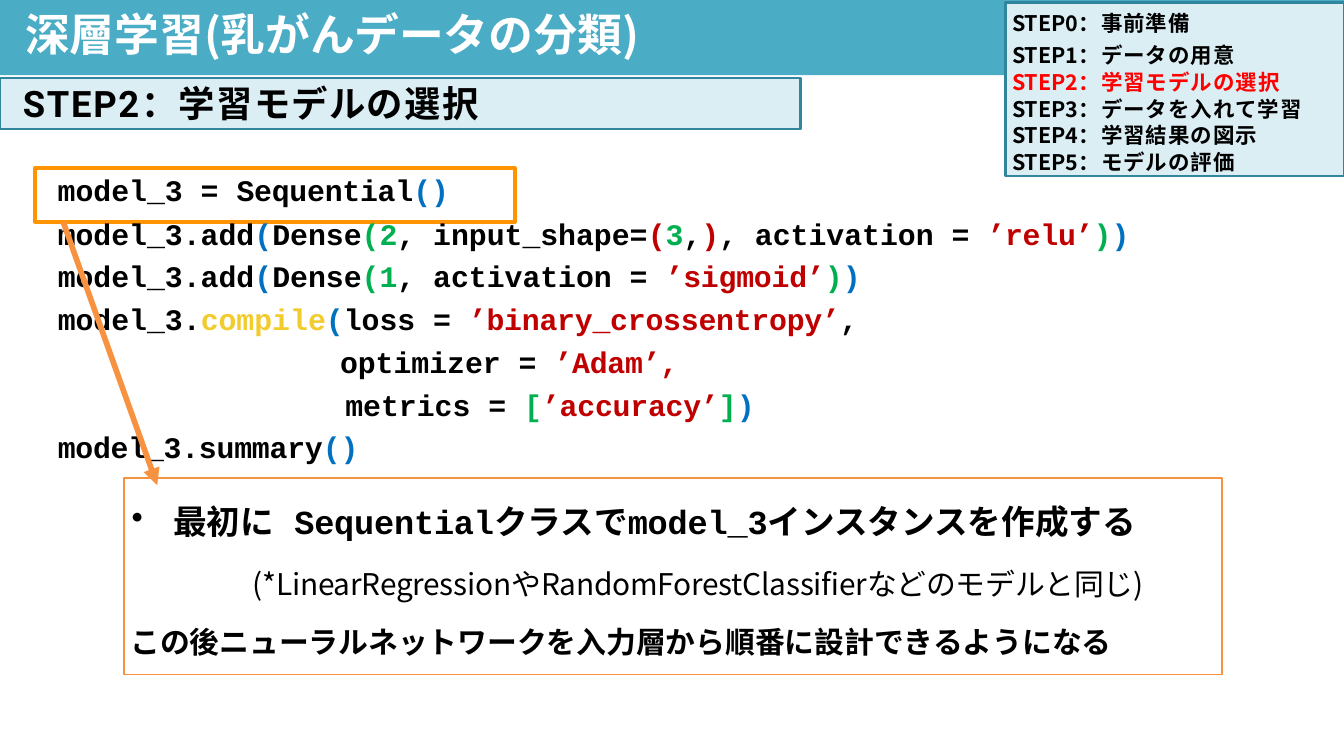
from lxml.etree import SubElement
from pptx import Presentation
from pptx.dml.color import RGBColor
from pptx.enum.shapes import MSO_CONNECTOR, MSO_SHAPE
from pptx.enum.text import MSO_ANCHOR, PP_ALIGN
from pptx.oxml.ns import qn
from pptx.util import Inches, Pt

BLACK = RGBColor(0, 0, 0)
WHITE = RGBColor(255, 255, 255)
RED = RGBColor(255, 0, 0)
CRIMSON = RGBColor(0xC0, 0, 0)
BLUE = RGBColor(0, 0x70, 0xC0)
GREEN = RGBColor(0, 0xB0, 0x50)
YELLOW = RGBColor(0xF2, 0xCC, 0x2C)
AMBER = RGBColor(0xFF, 0x93, 0)
ORANGE = RGBColor(0xF6, 0x92, 0x40)
TEAL = RGBColor(0x4B, 0xAC, 0xC6)
PALE = RGBColor(0xDB, 0xEE, 0xF4)
EDGE = RGBColor(0x31, 0x85, 0x9C)

SANS = "Noto Sans CJK JP"
MONO = "Courier New"

STEPS = ["事前準備", "データの用意", "学習モデルの選択",
         "データを入れて学習", "学習結果の図示", "モデルの評価"]

CODE = [
    (0.01, [("model_3.add",), ("(", BLUE), ("Dense",), ("(2", GREEN),
            (", input_shape=",), ("(", CRIMSON), ("3", GREEN), (",",),
            (")", CRIMSON), (", activation = ",), ("’relu’", CRIMSON, -0.1),
            (")", GREEN), (")", BLUE)]),
    (0.01, [("model_3.add",), ("(", BLUE), ("Dense",), ("(1", GREEN),
            (", activation = ",), ("’sigmoid’", CRIMSON, -0.1),
            (")", GREEN), (")", BLUE)]),
    (0.01, [("model_3.",), ("compile", YELLOW), ("(", BLUE), ("loss = ",),
            ("’binary_crossentropy’", CRIMSON, -0.1), (",",)]),
    (2.11, [("optimizer = ",), ("’Adam’,", CRIMSON, -0.1)]),
    (2.15, [("metrics = ",), ("[", GREEN, -0.1),
            ("’accuracy’", CRIMSON, -0.1), ("]", GREEN, -0.1),
            (")", BLUE, -0.1)]),
    (0.01, [("model_3.summary", BLACK, -0.1), ("()", BLUE, -0.1)]),
]


def add_rect(slide, left, top, width, height, fill=None, line=None, weight=1):
    """Add a plain rectangle with an optional fill and outline."""
    rect = slide.shapes.add_shape(MSO_SHAPE.RECTANGLE, Inches(left), Inches(top),
                                  Inches(width), Inches(height))
    rect.shadow.inherit = False
    if fill is None:
        rect.fill.background()
    else:
        rect.fill.solid()
        rect.fill.fore_color.rgb = fill
    if line is None:
        rect.line.fill.background()
    else:
        rect.line.color.rgb = line
        rect.line.width = Pt(weight)
    return rect


def set_frame(shape, inset=0):
    """Prepare a shape for top-left text without side margins."""
    frame = shape.text_frame
    frame.word_wrap = False
    frame.vertical_anchor = MSO_ANCHOR.TOP
    frame.margin_left = frame.margin_right = frame.margin_bottom = 0
    frame.margin_top = Inches(inset)
    return frame


def add_box(slide, left, top, width, height):
    """Add a text box and return its frame."""
    return set_frame(slide.shapes.add_textbox(
        Inches(left), Inches(top), Inches(width), Inches(height)))


def add_line(frame, pitch, left=0.01, before=0):
    """Start a paragraph of fixed line height, using the empty first one."""
    para = frame.paragraphs[0]
    if para.runs:
        para = frame.add_paragraph()
    para.alignment = PP_ALIGN.LEFT
    para.line_spacing = Pt(pitch)
    para.space_before = Pt(before)
    para._p.get_or_add_pPr().set("marL", str(Inches(left)))
    return para


def add_run(para, text, size, color=BLACK, gap=0, face=SANS, bold=True):
    """Add a run with its font, colour and letter spacing."""
    run = para.add_run()
    run.text = text
    font = run.font
    font.size, font.bold, font.name = Pt(size), bold, face
    font.color.rgb = color
    props = run._r.get_or_add_rPr()
    props.set("spc", str(round(gap * 100)))
    SubElement(props, qn("a:ea")).set("typeface", face)


def add_code(frame, pitch, left, parts):
    """Add one line of coloured code."""
    para = add_line(frame, pitch, left)
    for part in parts:
        add_run(para, part[0], 16, *part[1:], face=MONO)


def add_bullet(para, hang, stop):
    """Give a paragraph a hanging bullet and a tab stop."""
    props = para._p.get_or_add_pPr()
    props.set("indent", str(-Inches(hang)))
    SubElement(props, qn("a:buChar")).set("char", "•")
    tab = SubElement(SubElement(props, qn("a:tabLst")), qn("a:tab"))
    tab.set("pos", str(Inches(stop)))
    tab.set("algn", "l")


def add_arrow(slide, start, end):
    """Draw a thick orange arrow between two points."""
    arrow = slide.shapes.add_connector(
        MSO_CONNECTOR.STRAIGHT, *map(Inches, start + end))
    arrow.line.color.rgb = ORANGE
    arrow.line.width = Pt(3)
    SubElement(arrow.line._get_or_add_ln(), qn("a:tailEnd")).set("type", "triangle")
    SubElement(arrow._element.spPr, qn("a:effectLst"))


def add_head(slide):
    """Add the title band and the step heading."""
    add_rect(slide, 0, 0, 10, 0.56, TEAL)
    title = add_line(add_box(slide, 0.18, 0.02, 5.44, 0.43), 31)
    add_run(title, "深層学習(乳がんデータの分類)", 24, WHITE, -0.1)
    add_rect(slide, 0, 0.58, 5.96, 0.38, PALE, EDGE, 1.5)
    step = add_line(add_box(slide, 0.16, 0.58, 3.53, 0.35), 25)
    add_run(step, "STEP2", 19.5, gap=0.9, face="Roboto")
    add_run(step, "：学習モデルの選択", 19.5, gap=0.6, face="Roboto")


def add_steps(slide):
    """Add the list of steps with the current one in red."""
    panel = add_rect(slide, 7.48, 0.02, 2.52, 1.29, PALE, EDGE, 1.5)
    frame = set_frame(panel, 0.05)
    for num, name in enumerate(STEPS):
        para = add_line(frame, 14.3, 0.05, 3 if num == 1 else 0)
        color = RED if num == 2 else BLACK
        add_run(para, f"STEP{num}", 11.5, color)
        add_run(para, f"：{name}", 11.5, color, 0.5)


def add_note(slide):
    """Add the framed explanation."""
    add_rect(slide, 0.92, 3.56, 8.17, 1.46, line=ORANGE)
    frame = add_box(slide, 0.96, 3.71, 7.88, 1.2)
    para = add_line(frame, 23, 0.33)
    add_bullet(para, 0.31, 1.23)
    add_run(para, "最初", 18)
    add_run(para, "に\t", 18, gap=-0.5)
    add_run(para, "Sequential", 18, gap=-0.1, face=MONO)
    add_run(para, "クラスで", 18)
    add_run(para, "model_3", 18, gap=-0.1, face=MONO)
    add_run(para, "インスタンスを作成する", 18)
    para = add_line(frame, 20, 0.92, 12)
    add_run(para, "(*LinearRegression", 16, gap=-0.1, bold=False)
    add_run(para, "や", 16, bold=False)
    add_run(para, "RandomForestClassifierなどのモデルと同じ)", 16,
            gap=-0.1, bold=False)
    para = add_line(frame, 20, before=11)
    add_run(para, "この後ニューラルネットワークを⼊⼒層から順番に設計できるようになる", 16)


def main():
    """Build the slide and save it."""
    deck = Presentation()
    deck.slide_width = Inches(10)
    deck.slide_height = deck.slide_width * 9 // 16
    slide = deck.slides.add_slide(deck.slide_layouts[6])
    focus = add_rect(slide, 0.26, 1.25, 3.57, 0.4, line=AMBER, weight=2)
    add_code(set_frame(focus), 21.4, 0.17,
             [("model_3 = ",), ("Sequential", BLACK, -0.1), ("()", BLUE, -0.1)])
    code = add_box(slide, 0.42, 1.55, 8.05, 1.91)
    for left, parts in CODE:
        add_code(code, 22.9, left, parts)
    add_note(slide)
    add_arrow(slide, (0.47, 1.65), (1.17, 3.61))
    add_head(slide)
    add_steps(slide)
    deck.save("out.pptx")


if __name__ == "__main__":
    main()
